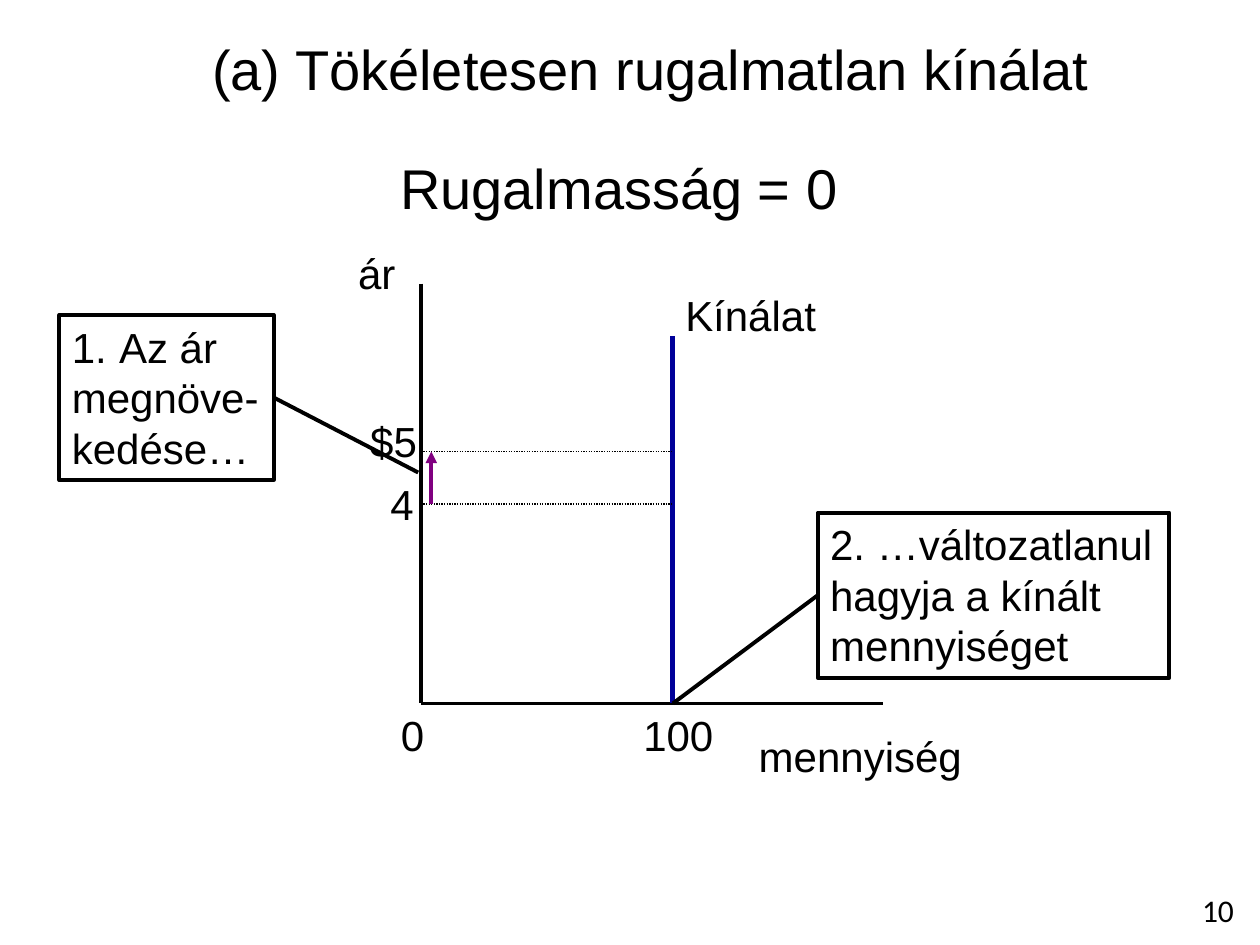
from pptx import Presentation
from pptx.dml.color import RGBColor
from pptx.enum.dml import MSO_LINE
from pptx.enum.shapes import MSO_CONNECTOR, MSO_SHAPE
from pptx.enum.text import MSO_ANCHOR, MSO_AUTO_SIZE, PP_ALIGN
from pptx.oxml.ns import qn
from pptx.util import Pt
from lxml import etree

BLACK = RGBColor(0x00, 0x00, 0x00)
BLUE = RGBColor(0x00, 0x00, 0x99)
PURPLE = RGBColor(0x80, 0x00, 0x80)

STRAIGHT = MSO_CONNECTOR.STRAIGHT
RECT = MSO_SHAPE.RECTANGLE
DOTS = MSO_LINE.ROUND_DOT
LEFT, CENTER = PP_ALIGN.LEFT, PP_ALIGN.CENTER
TOP, MIDDLE = MSO_ANCHOR.TOP, MSO_ANCHOR.MIDDLE
GROW = MSO_AUTO_SIZE.SHAPE_TO_FIT_TEXT
LEFT_SIDE, RIGHT_SIDE = 1, 3

# Chart geometry in points
AXIS_X, AXIS_Y = 240.5, 402
AXIS_TOP, AXIS_END = 162, 504.5
SUPPLY_X, SUPPLY_TOP = 384.5, 192
HIGH_Y, LOW_Y = 258, 288
INDENT = 27


def style(para, size=24, font="Arial", align=LEFT):
    para.alignment = align
    para.font.size = Pt(size)
    para.font.name = font
    para.font.color.rgb = BLACK


def add_head(slide, text, left, top, width, height, size=32,
             font="Arial", anchor=TOP):
    """Centred text in a box of fixed size."""
    box = slide.shapes.add_textbox(Pt(left), Pt(top), Pt(width), Pt(height))
    frame = box.text_frame
    frame.word_wrap = True
    frame.vertical_anchor = anchor
    frame.text = text
    style(frame.paragraphs[0], size, font, CENTER)


def add_label(slide, text, left, top, width):
    """One-line chart label that fits its text."""
    box = slide.shapes.add_textbox(Pt(left), Pt(top), Pt(width), Pt(36.35))
    frame = box.text_frame
    frame.word_wrap = False
    frame.auto_size = GROW
    frame.text = text
    style(frame.paragraphs[0])


def add_line(slide, start, end, width=2.25, color=BLACK, dash=None,
             arrow=False):
    line = slide.shapes.add_connector(
        STRAIGHT, *(Pt(value) for value in start + end))
    line.line.width = Pt(width)
    line.line.color.rgb = color
    if dash:
        line.line.dash_style = dash
    if arrow:
        etree.SubElement(line.line._get_or_add_ln(), qn("a:tailEnd"),
                         type="triangle")
    etree.SubElement(line._element.spPr, qn("a:effectLst"))
    return line


def add_note(slide, lines, left, top, width, number=False):
    """Framed remark with hanging lines; the first may be numbered."""
    box = slide.shapes.add_shape(RECT, Pt(left), Pt(top), Pt(width), Pt(94.3))
    box.shadow.inherit = False
    box.fill.background()
    box.line.color.rgb = BLACK
    box.line.width = Pt(2.25)
    frame = box.text_frame
    frame.word_wrap = False
    frame.auto_size = GROW
    frame.vertical_anchor = TOP
    frame.text = "\n".join(lines)
    for index, para in enumerate(frame.paragraphs):
        props = para._p.get_or_add_pPr()
        props.set("marL", str(Pt(INDENT)))
        props.set("indent", str(-Pt(INDENT)))
        if number and index == 0:
            etree.SubElement(props, qn("a:buFont"), typeface="+mj-lt")
            etree.SubElement(props, qn("a:buAutoNum"), type="arabicPeriod")
        style(para)
    return box


def main():
    deck = Presentation()
    deck.slide_width, deck.slide_height = Pt(720), Pt(540)
    slide = deck.slides.add_slide(deck.slide_layouts[6])

    # Headings and page number
    add_head(slide, "(a) Tökéletesen rugalmatlan kínálat",
             24, 18, 696, 42, anchor=MIDDLE)
    add_head(slide, "10", 672, 505.5, 48, 29, 18, "Calibri")
    add_head(slide, "Rugalmasság = 0", 220.5, 84, 266.5, 46)

    # Axes
    add_line(slide, (AXIS_X, AXIS_TOP), (AXIS_X, AXIS_Y))
    add_line(slide, (AXIS_X, AXIS_Y), (AXIS_END, AXIS_Y))

    # Supply line, price levels and price rise
    add_line(slide, (SUPPLY_X, AXIS_Y), (SUPPLY_X, SUPPLY_TOP), 3, BLUE)
    for level in (HIGH_Y, LOW_Y):
        add_line(slide, (AXIS_X, level), (SUPPLY_X, level), 0.75, dash=DOTS)
    add_line(slide, (246.5, LOW_Y), (246.5, HIGH_Y), color=PURPLE, arrow=True)

    # Chart labels
    for text, left, top, width in (
            ("ár", 197.5, 138, 42.5),
            ("mennyiség", 426.5, 414, 139),
            ("0", 222, AXIS_Y, 28),
            ("Kínálat", SUPPLY_X, 162, 90),
            ("100", 360.5, AXIS_Y, 54.5),
            ("$5", 204.5, 234, 41.5),
            ("4", 216, 270, 28)):
        add_label(slide, text, left, top, width)

    # Notes with their pointers
    cause = add_note(slide, ("Az ár", "megnöve-", "kedése…"),
                     34, 180, 122.4, number=True)
    effect = add_note(
        slide, ("2. …változatlanul", "hagyja a kínált", "mennyiséget"),
        467.3, 293, 200.9)
    for note, side, point in ((cause, RIGHT_SIDE, (239, 270)),
                              (effect, LEFT_SIDE, (SUPPLY_X, AXIS_Y))):
        add_line(slide, point, point).end_connect(note, side)

    deck.save("out.pptx")


if __name__ == "__main__":
    main()
